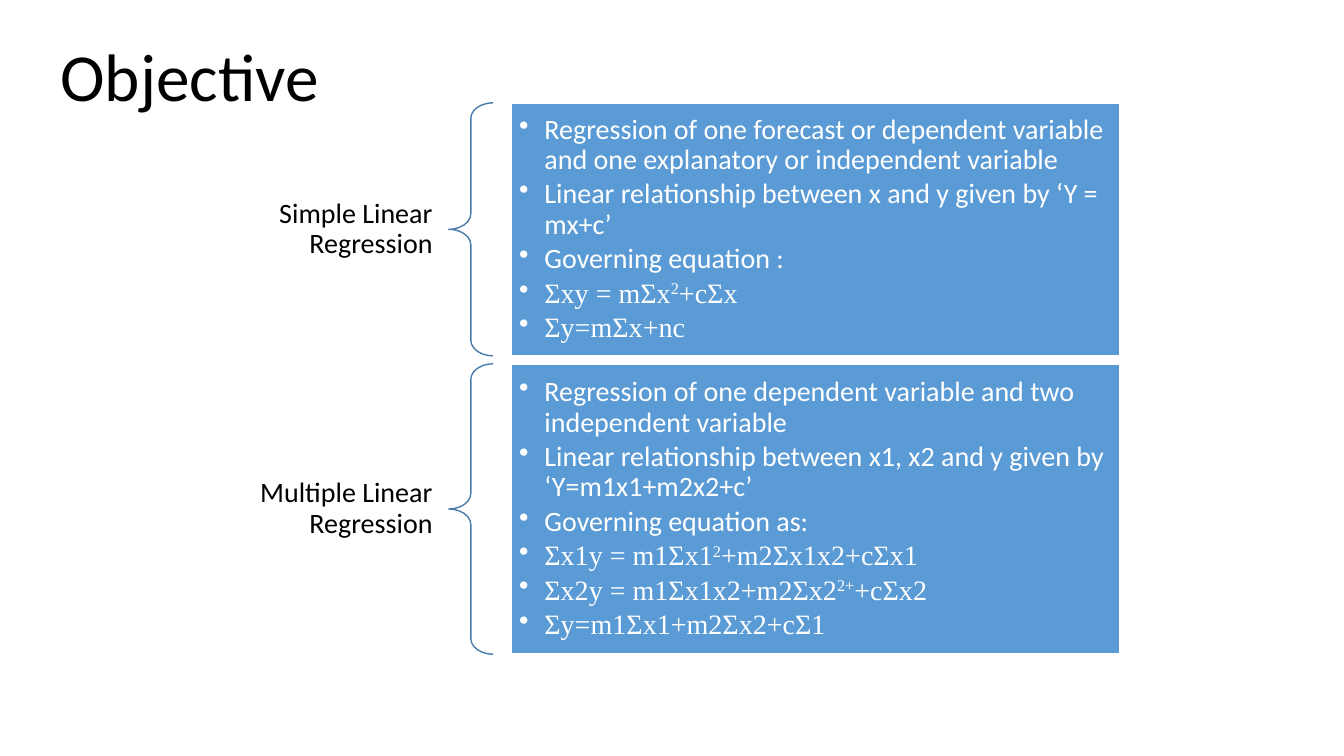
from pptx import Presentation
from pptx.util import Inches, Pt
from pptx.dml.color import RGBColor
from pptx.enum.shapes import MSO_SHAPE
from pptx.enum.text import MSO_ANCHOR, PP_ALIGN
from pptx.oxml import parse_xml
from pptx.oxml.ns import nsdecls

BLACK = RGBColor(0x00, 0x00, 0x00)
WHITE = RGBColor(0xFF, 0xFF, 0xFF)
BLUE = RGBColor(0x5B, 0x9B, 0xD5)
STEEL = RGBColor(0x49, 0x7C, 0xAB)
SANS, SERIF = "Calibri", "Times New Roman"

# Content: label, panel height, sentences, equations (every second run is raised)
TITLE = "Objective"
GROUPS = [
    ("Simple Linear Regression", 2.51,
     ["Regression of one forecast or dependent variable and one explanatory "
      "or independent variable",
      "Linear relationship between x and y given by ‘Y = mx+c’",
      "Governing equation :"],
     [("\u01a9xy = m\u01a9x", "2", "+c\u01a9x"),
      ("\u01a9y=m\u01a9x+nc",)]),
    ("Multiple Linear Regression", 2.88,
     ["Regression of one dependent variable and two independent variable",
      "Linear relationship between x1, x2 and y given by ‘Y=m1x1+m2x2+c’",
      "Governing equation as:"],
     [("\u01a9x1y = m1\u01a9x1", "2", "+m2\u01a9x1x2+c\u01a9x1"),
      ("\u01a9x2y = m1\u01a9x1x2+m2\u01a9x2", "2+", "+c\u01a9x2"),
      ("\u01a9y=m1\u01a9x1+m2\u01a9x2+c\u01a91",)]),
]

# Layout in inches
TOP, GAP = 1.02, 0.08
LABEL_X, LABEL_W, LABEL_H = 2.23, 2.22, 0.73
BRACE_X, BRACE_W = 4.45, 0.44
PANEL_X, PANEL_W = 5.07, 6.04

deck = Presentation()
deck.slide_width, deck.slide_height = Inches(13.33), Inches(7.5)
slide = deck.slides.add_slide(deck.slide_layouts[5])


def box(x, y, w, h):
    return [Inches(v) for v in (x, y, w, h)]


def write(para, text, size, color, face=SANS, raised=False):
    run = para.add_run()
    run.text = text
    run.font.size, run.font.name = Pt(size), face
    run.font.color.rgb = color
    if raised:
        run.font._element.set("baseline", "30000")


def frame(shape, side, edge):
    text = shape.text_frame
    text.word_wrap = True
    text.vertical_anchor = MSO_ANCHOR.MIDDLE
    text.margin_left = text.margin_right = Inches(side)
    text.margin_top = text.margin_bottom = Inches(edge)
    return text


def draw(kind, place, line):
    shape = slide.shapes.add_shape(kind, *place)
    shape.shadow.inherit = False
    shape.line.color.rgb, shape.line.width = line, Pt(1)
    return shape


def bullet(para):
    para.alignment = PP_ALIGN.LEFT
    para.line_spacing, para.space_after = 0.9, Pt(3)
    props = para._p.get_or_add_pPr()
    props.set("marL", str(Inches(0.25)))
    props.set("indent", str(Inches(-0.25)))
    props.append(parse_xml(f'<a:buChar {nsdecls("a")} char="•"/>'))


# Title
title = slide.shapes.title
title.left, title.top, title.width, title.height = box(0.5, 0.29, 2.79, 0.91)
head = title.text_frame
head.word_wrap, head.vertical_anchor = False, MSO_ANCHOR.TOP
head.paragraphs[0].alignment = PP_ALIGN.LEFT
write(head.paragraphs[0], TITLE, 48, BLACK)

y = TOP
for name, height, facts, sums in GROUPS:
    # Label, centred on its panel
    label = slide.shapes.add_textbox(
        *box(LABEL_X, y + (height - LABEL_H) / 2, LABEL_W, LABEL_H))
    para = frame(label, 0.16, 0.06).paragraphs[0]
    para.alignment, para.line_spacing = PP_ALIGN.RIGHT, 0.9
    write(para, name, 20, BLACK)

    # Brace
    brace = draw(MSO_SHAPE.LEFT_BRACE, box(BRACE_X, y, BRACE_W, height), STEEL)
    brace.fill.background()
    brace.adjustments[0], brace.adjustments[1] = 0.35, 0.5

    # Panel with bullets
    panel = draw(MSO_SHAPE.RECTANGLE, box(PANEL_X, y, PANEL_W, height), WHITE)
    panel.fill.solid()
    panel.fill.fore_color.rgb = BLUE
    text = frame(panel, 0.08, 0.08)
    rows = [((fact,), SANS) for fact in facts] + [(part, SERIF) for part in sums]
    for i, (parts, face) in enumerate(rows):
        para = text.add_paragraph() if i else text.paragraphs[0]
        bullet(para)
        for j, part in enumerate(parts):
            write(para, part, 20, WHITE, face, raised=j % 2 == 1)
    y += height + GAP

deck.save("out.pptx")
